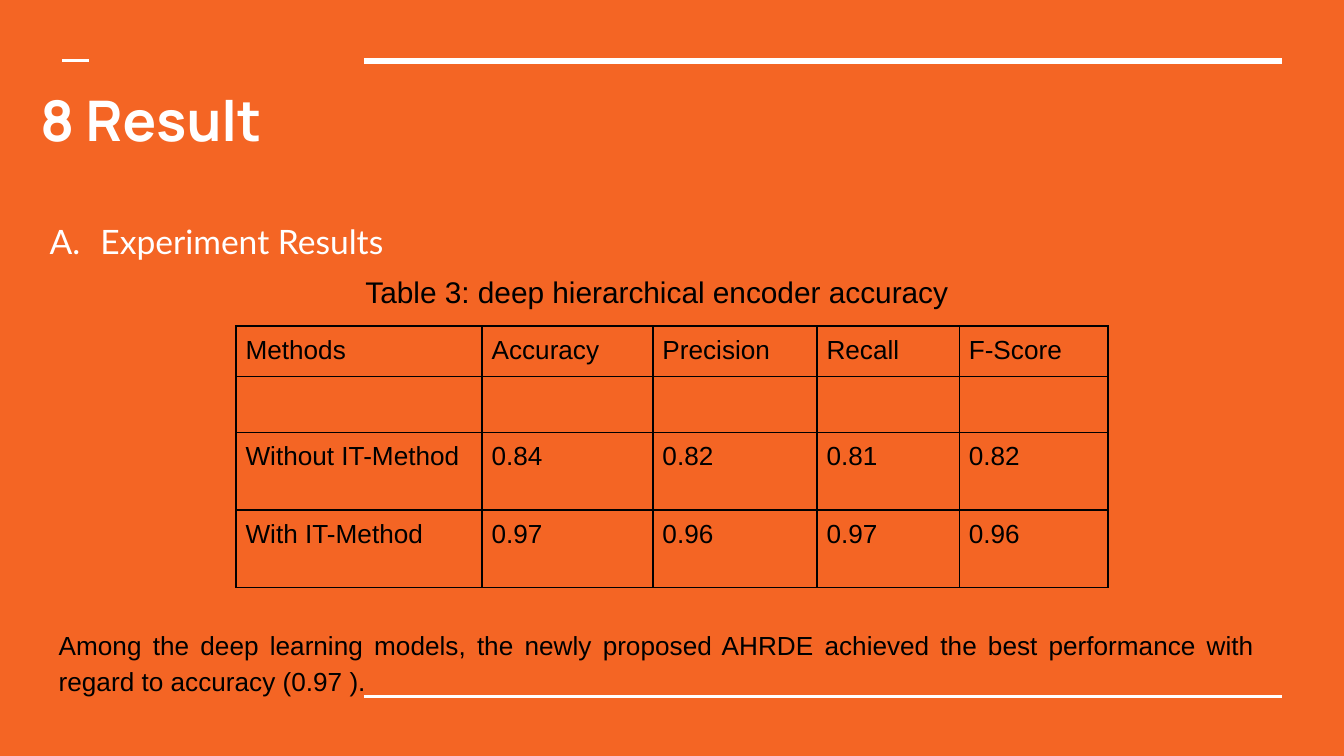
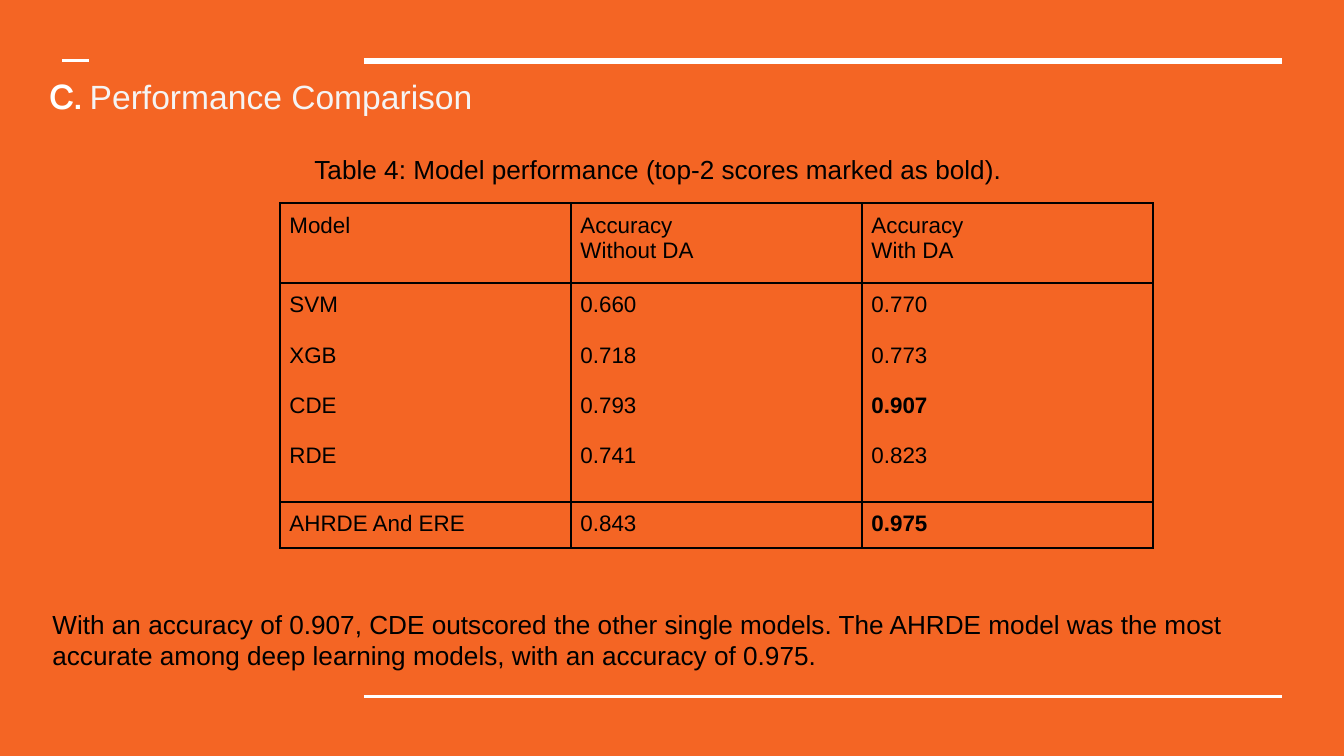
"""Build two result slides, each with a bordered table, on an orange background."""
from dataclasses import dataclass

from lxml.etree import SubElement
from pptx import Presentation
from pptx.dml.color import RGBColor as Rgb
from pptx.enum.shapes import MSO_CONNECTOR as Connector
from pptx.enum.text import MSO_ANCHOR as Anchor, PP_ALIGN as Align
from pptx.oxml.ns import qn
from pptx.util import Cm, Pt


@dataclass(frozen=True)
class Theme:
    orange: str = "F46524"
    white: str = "FFFFFF"
    pale: str = "F4F4F4"
    black: str = "000000"
    title_font: str = "Manrope"
    list_font: str = "Lato"
    text_font: str = "Arial"
    title_size: int = 30
    heading_size: int = 18
    caption_size: int = 16
    text_size: int = 14
    small_size: int = 12
    inset: float = 0.25
    cell_inset: float = 0.18
    loose: float = 1.15


theme = Theme()


def add_runs(paragraph, *runs):
    for text, font_name, size, color, bold in runs:
        run = paragraph.add_run()
        run.text = text
        run.font.name = font_name
        run.font.size = Pt(size)
        run.font.bold = bold
        run.font.color.rgb = Rgb.from_string(color)


def add_text(slide, box, *runs, align=Align.LEFT, spacing=1.0):
    frame = slide.shapes.add_textbox(*map(Cm, box)).text_frame
    frame.word_wrap = True
    frame.vertical_anchor = Anchor.TOP
    frame.margin_left = frame.margin_right = Cm(theme.inset)
    frame.margin_top = frame.margin_bottom = Cm(theme.inset)
    paragraph = frame.paragraphs[0]
    paragraph.alignment = align
    paragraph.line_spacing = spacing
    add_runs(paragraph, *runs)
    return paragraph


prs = Presentation()
prs.slide_width, prs.slide_height = Cm(25.4), Cm(14.29)
backdrop = prs.slide_master.background.fill
backdrop.solid()
backdrop.fore_color.rgb = Rgb.from_string(theme.orange)
blank = prs.slide_layouts[6]
result, comparison = [prs.slides.add_slide(blank) for _ in range(2)]

rules = [(6.88, 24.23, 1.15, 3), (6.88, 24.23, 13.16, 1.5), (1.18, 1.69, 1.15, 1.5)]
for slide in (result, comparison):
    for start, end, y, weight in rules:
        rule = slide.shapes.add_connector(
            Connector.STRAIGHT, Cm(start), Cm(y), Cm(end), Cm(y))
        rule.line.color.rgb = Rgb.from_string(theme.white)
        rule.line.width = Pt(weight)
        SubElement(rule._element.spPr, qn("a:effectLst"))

add_text(result, (0.51, 1.37, 23.67, 1.52),
         ("8 Result", theme.title_font, theme.title_size, theme.white, True))
section = add_text(result, (0.38, 3.92, 23.93, 1.27),
                   ("Experiment Results", theme.list_font, theme.heading_size,
                    theme.white, False))
section_props = section._p.get_or_add_pPr()
section_props.set("marL", str(Cm(1.27)))
section_props.set("indent", str(-Cm(0.96)))
SubElement(section_props, qn("a:buAutoNum"), type="alphaUcPeriod")
add_text(result, (0.86, 4.83, 23.11, 1.2),
         ("Table 3: deep hierarchical encoder accuracy", theme.text_font,
          theme.caption_size, theme.black, False),
         align=Align.CENTER, spacing=theme.loose)
add_text(result, (0.86, 11.55, 23.11, 1.8),
         ("Among the deep learning models, the newly proposed AHRDE achieved the best "
          "performance with regard to accuracy (0.97 ).", theme.text_font,
          theme.text_size, theme.black, False),
         align=Align.JUSTIFY, spacing=theme.loose)

add_text(comparison, (0.69, 1.19, 23.5, 1.35),
         ("C. ", theme.title_font, theme.heading_size, theme.white, True),
         ("Performance Comparison", theme.text_font, theme.heading_size,
          theme.pale, False))
add_text(comparison, (0.69, 2.57, 23.5, 1.1),
         ("Table 4: Model performance (top-2 scores marked as bold).",
          theme.text_font, theme.text_size, theme.black, False),
         align=Align.CENTER, spacing=theme.loose)
add_text(comparison, (0.74, 11.25, 23.5, 1.7),
         ("With an accuracy of 0.907, CDE outscored the other single models. "
          "The AHRDE model was the most accurate among deep learning models, "
          "with an accuracy of 0.975.", theme.text_font, theme.text_size,
          theme.black, False))

method_scores = [
    ["Methods", "Accuracy", "Precision", "Recall", "F-Score"],
    [""] * 5,
    ["Without IT-Method", "0.84", "0.82", "0.81", "0.82"],
    ["With IT-Method", "0.97", "0.96", "0.97", "0.96"],
]
model_scores = [
    ["Model", "Accuracy\nWithout DA", "Accuracy\nWith DA"],
    ["SVM\nXGB\nCDE\nRDE", "0.660\n0.718\n0.793\n0.741", "0.770\n0.773\n0.907\n0.823"],
    ["AHRDE And ERE", "0.843", "0.975"],
]
top_scores = {"0.907", "0.975"}
score_tables = [
    (result, method_scores, 4.46, 6.16, [4.65, 3.23, 3.1, 2.69, 2.81],
     [0.91, 1.06, 1.47, 1.46], theme.text_size, 0),
    (comparison, model_scores, 5.29, 3.84, [5.5] * 3,
     [1.51, 4.14, 0.83], theme.small_size, 13.5),
]
for slide, scores, left, top, widths, heights, size, model_gap in score_tables:
    grid = slide.shapes.add_table(
        len(heights), len(widths), Cm(left), Cm(top),
        Cm(sum(widths)), Cm(sum(heights))).table
    grid.first_row = grid.horz_banding = False
    for column, width in zip(grid.columns, widths):
        column.width = Cm(width)
    for row_index, (row, height) in enumerate(zip(grid.rows, heights)):
        row.height = Cm(height)
        for cell, entry in zip(row.cells, scores[row_index]):
            cell.margin_left = cell.margin_right = Cm(theme.cell_inset)
            cell.margin_top = cell.margin_bottom = Cm(theme.cell_inset)
            cell_props = cell._tc.get_or_add_tcPr()
            for side in ("a:lnL", "a:lnR", "a:lnT", "a:lnB"):
                border = SubElement(cell_props, qn(side), w=str(Pt(1)))
                paint = SubElement(border, qn("a:solidFill"))
                SubElement(paint, qn("a:srgbClr"), val=theme.black)
            cell.fill.background()
            for line_index, line in enumerate(entry.split("\n")):
                frame = cell.text_frame
                paragraph = frame.add_paragraph() if line_index else frame.paragraphs[0]
                if line_index and row_index:
                    paragraph.space_before = Pt(model_gap)
                if line:
                    add_runs(paragraph, (line, theme.text_font, size, theme.black,
                                         line in top_scores))
                else:
                    paragraph.font.size = Pt(size)

prs.save("out.pptx")
